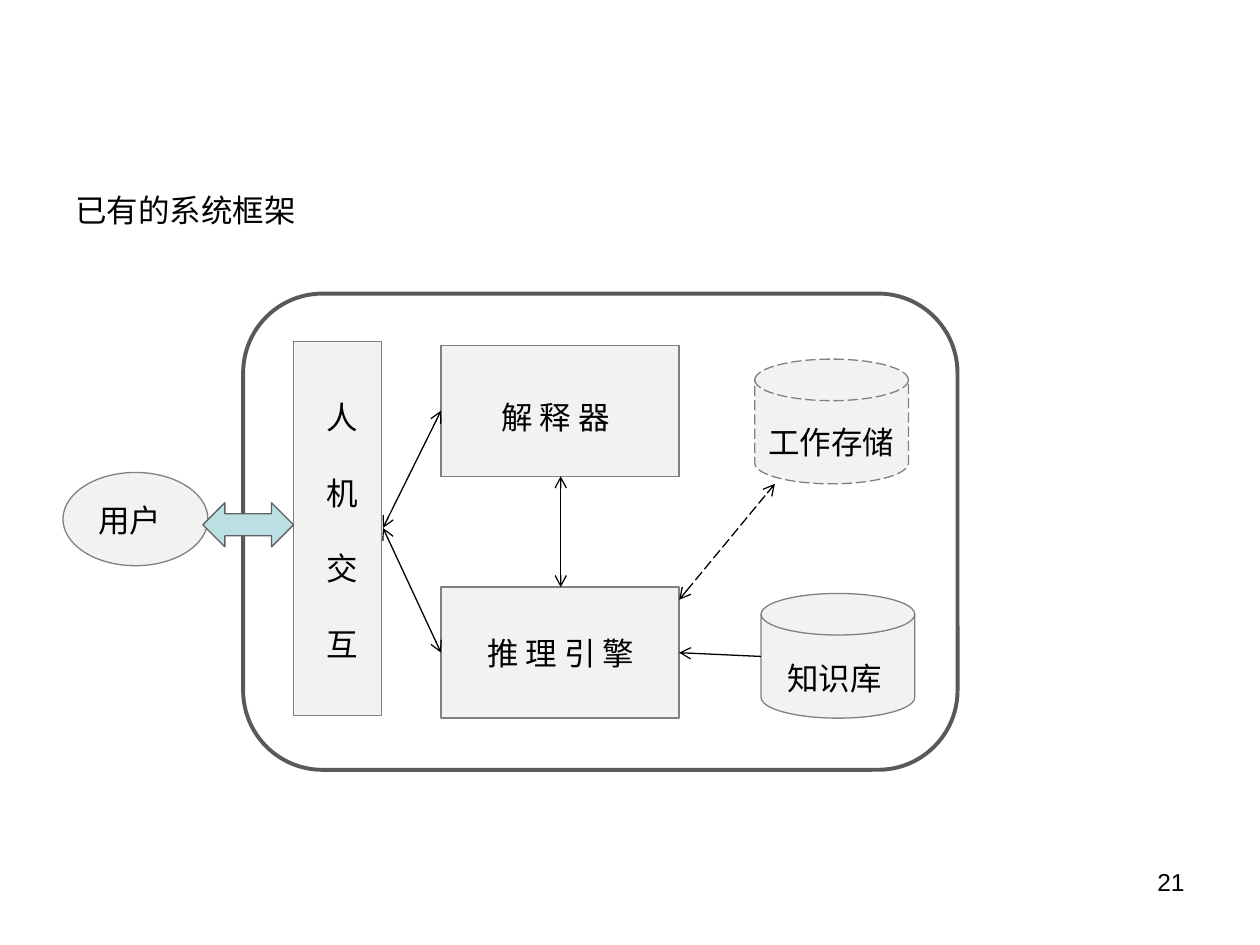
from lxml import etree
from pptx import Presentation
from pptx.dml.color import RGBColor
from pptx.enum.dml import MSO_LINE
from pptx.enum.shapes import MSO_CONNECTOR, MSO_SHAPE
from pptx.enum.text import PP_ALIGN
from pptx.oxml.ns import qn
from pptx.util import Inches, Pt

DASH = MSO_LINE.LONG_DASH
LINE = MSO_CONNECTOR.STRAIGHT
RECT = MSO_SHAPE.RECTANGLE
ROUND = MSO_SHAPE.ROUNDED_RECTANGLE
OVAL = MSO_SHAPE.OVAL
DISK = MSO_SHAPE.FLOWCHART_MAGNETIC_DISK
ARROW = MSO_SHAPE.LEFT_RIGHT_ARROW
LEFT, MID, RIGHT = PP_ALIGN.LEFT, PP_ALIGN.CENTER, PP_ALIGN.RIGHT

COLORS = {
    "text": "000000",
    "box": "F2F2F2",
    "edge": "808080",
    "frame": "595959",
    "arrow": "BBE0E3",
    "rim": "606060",
}


def color(name):
    return RGBColor.from_string(COLORS[name])


def add_box(slide, kind, at, fill="box", edge="edge", width=0.75, dash=None):
    box = slide.shapes.add_shape(kind, *map(Inches, at))
    box.shadow.inherit = False
    if fill:
        box.fill.solid()
        box.fill.fore_color.rgb = color(fill)
    else:
        box.fill.background()
    box.line.color.rgb = color(edge)
    box.line.width = Pt(width)
    if dash:
        box.line.dash_style = dash


def add_text(slide, lines, at, align=LEFT, size=18, gap=0):
    """Write one paragraph per line, with gap points after each."""
    frame = slide.shapes.add_textbox(*map(Inches, at)).text_frame
    frame.word_wrap = True
    frame.text = "\n".join(lines)
    for para in frame.paragraphs:
        para.alignment = align
        para.space_after = Pt(gap)
        para.font.size = Pt(size)
        para.font.name = "Arial"
        para.font.color.rgb = color("text")


def add_link(slide, start, end, both=True, dash=None):
    """Draw a line with an open arrowhead at its end, or at both ends."""
    link = slide.shapes.add_connector(LINE, *map(Inches, start + end))
    link.line.color.rgb = color("text")
    link.line.width = Pt(0.75)
    if dash:
        link.line.dash_style = dash
    props = link.element.spPr
    edge = props.find(qn("a:ln"))
    for tag in ("a:headEnd", "a:tailEnd") if both else ("a:tailEnd",):
        etree.SubElement(edge, qn(tag), type="arrow")
    etree.SubElement(props, qn("a:effectLst"))


def main():
    deck = Presentation()
    deck.slide_width, deck.slide_height = Inches(10), Inches(7.5)
    slide = deck.slides.add_slide(deck.slide_layouts[6])

    add_text(slide, ["21"], (7.17, 6.83, 2.33, 0.52), RIGHT, 14)
    add_text(slide, ["已有的系统框架"], (0.5, 1.47, 4.11, 0.4))

    add_box(slide, ROUND, (1.93, 2.33, 5.67, 3.78), None, "frame", 2.25)
    add_box(slide, OVAL, (0.5, 3.75, 1.15, 0.74))
    add_box(slide, RECT, (2.33, 2.71, 0.7, 2.97))
    for top in (2.74, 4.66):
        add_box(slide, RECT, (3.5, top, 1.89, 1.04))
    add_box(slide, DISK, (6.04, 4.71, 1.22, 0.99))
    add_box(slide, DISK, (5.99, 2.85, 1.22, 0.99), dash=DASH)
    add_box(slide, ARROW, (1.61, 3.99, 0.72, 0.35), "arrow", "rim")

    port = (3.04, 4.19)
    add_link(slide, (3.5, 3.26), port)
    add_link(slide, port, (3.5, 5.18))
    add_link(slide, (4.45, 3.78), (4.45, 4.66))
    add_link(slide, (5.39, 4.76), (6.15, 3.84), dash=DASH)
    add_link(slide, (6.04, 5.21), (5.39, 5.18), both=False)

    add_text(slide, ["用户"], (0.68, 3.93, 0.79, 0.4))
    add_text(slide, "人机交互", (2.49, 3.11, 0.55, 2.22), gap=21.6)
    add_text(slide, ["解 释 器"], (3.82, 3.11, 1.18, 0.4), MID)
    add_text(slide, ["推 理 引 擎"], (3.66, 4.98, 1.58, 0.4), MID)
    add_text(slide, ["工作存储"], (6, 3.31, 1.29, 0.4))
    add_text(slide, ["知识库"], (6.15, 5.18, 1.11, 0.4))

    deck.save("out.pptx")


if __name__ == "__main__":
    main()
